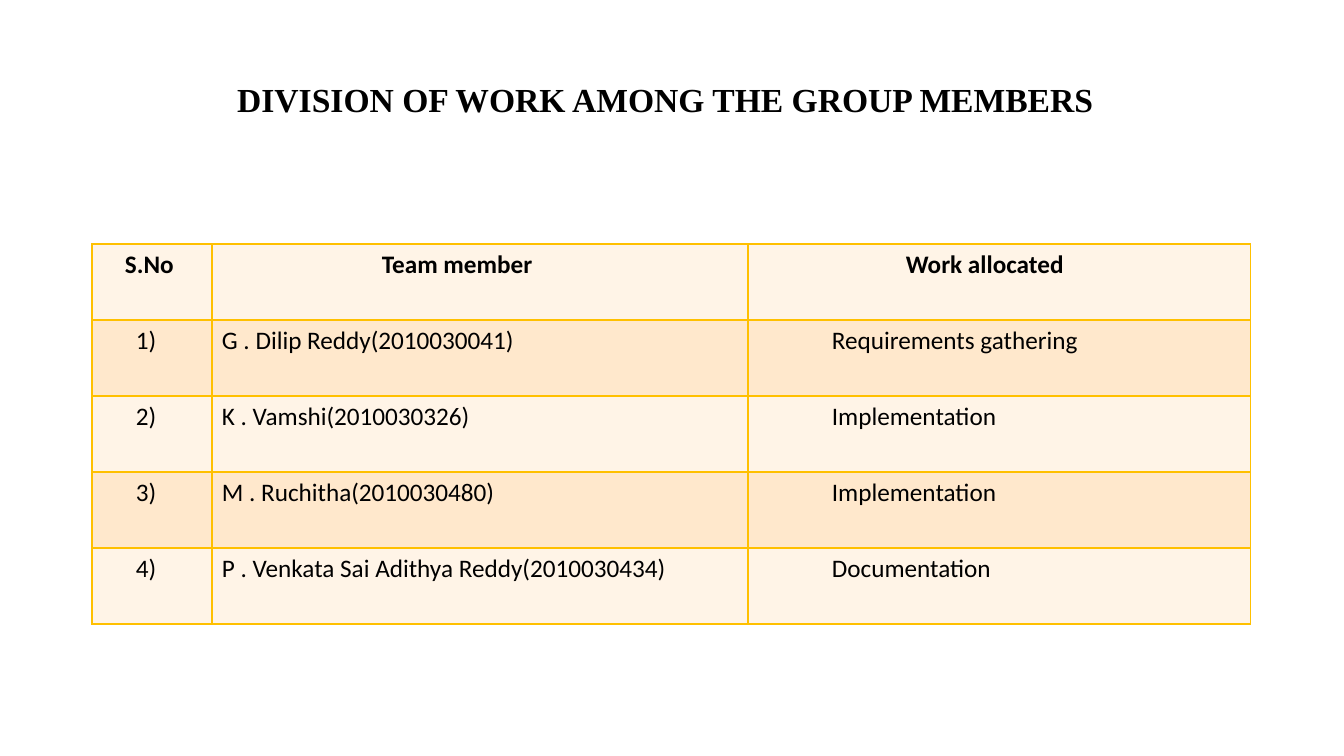
from lxml import etree
from pptx import Presentation
from pptx.dml.color import RGBColor
from pptx.enum.text import MSO_ANCHOR, PP_ALIGN
from pptx.oxml.ns import qn
from pptx.util import Pt

LEFT = PP_ALIGN.LEFT
TOP, MIDDLE = MSO_ANCHOR.TOP, MSO_ANCHOR.MIDDLE

BLACK = RGBColor(0x00, 0x00, 0x00)
GOLD = RGBColor(0xFF, 0xC0, 0x00)
BANDS = [RGBColor(0xFF, 0xF4, 0xE7), RGBColor(0xFF, 0xE8, 0xCC)]

PX = 914400 / 100.8


def px(count):
    return round(count * PX)


def write(frame, text, size=18, font="Calibri", bold=False, spacing=1.0):
    paragraph = frame.paragraphs[0]
    paragraph.alignment = LEFT
    paragraph.line_spacing = spacing
    run = paragraph.add_run()
    run.text = text
    run.font.size = Pt(size)
    run.font.name = font
    run.font.bold = bold
    run.font.color.rgb = BLACK


prs = Presentation()
prs.slide_width, prs.slide_height = px(1344), px(756)
slide = prs.slides.add_slide(prs.slide_layouts[5])

title = slide.shapes.title
title.left, title.top, title.width, title.height = px(227), px(72), px(891), px(60)
title.text_frame.word_wrap = True
title.text_frame.vertical_anchor = MIDDLE
write(title.text_frame, "DIVISION OF WORK AMONG THE GROUP MEMBERS",
      size=24, font="Times New Roman", bold=True, spacing=0.9)

HEADER = ["S.No", "Team member", "Work allocated"]
MEMBERS = [
    ["1)", "G . Dilip Reddy(2010030041)", "Requirements gathering"],
    ["2)", "K . Vamshi(2010030326)", "Implementation"],
    ["3)", "M . Ruchitha(2010030480)", "Implementation"],
    ["4)", "P . Venkata Sai Adithya Reddy(2010030434)", "Documentation"],
]
COLUMN_WIDTHS = [120, 536, 503]
ROW_HEIGHT = 76
HEADER_INSETS = [33, 170, 158]
MEMBER_INSETS = [44, 10, 84]

rows = [HEADER] + MEMBERS
allocation = slide.shapes.add_table(
    len(rows), len(HEADER), px(92), px(244),
    px(sum(COLUMN_WIDTHS)), px(ROW_HEIGHT * len(rows))).table
for column, width in zip(allocation.columns, COLUMN_WIDTHS):
    column.width = px(width)

for r, row in enumerate(rows):
    allocation.rows[r].height = px(ROW_HEIGHT)
    insets = HEADER_INSETS if r == 0 else MEMBER_INSETS
    for c, text in enumerate(row):
        cell = allocation.cell(r, c)
        cell.margin_left = px(insets[c])
        cell.vertical_anchor = TOP
        write(cell.text_frame, text, bold=r == 0)
        properties = cell._tc.get_or_add_tcPr()
        for side in ("a:lnL", "a:lnR", "a:lnT", "a:lnB"):
            border = etree.SubElement(properties, qn(side), w=str(Pt(1)))
            border_fill = etree.SubElement(border, qn("a:solidFill"))
            etree.SubElement(border_fill, qn("a:srgbClr"), val=str(GOLD))
        cell.fill.solid()
        cell.fill.fore_color.rgb = BANDS[r % 2]

prs.save("out.pptx")
